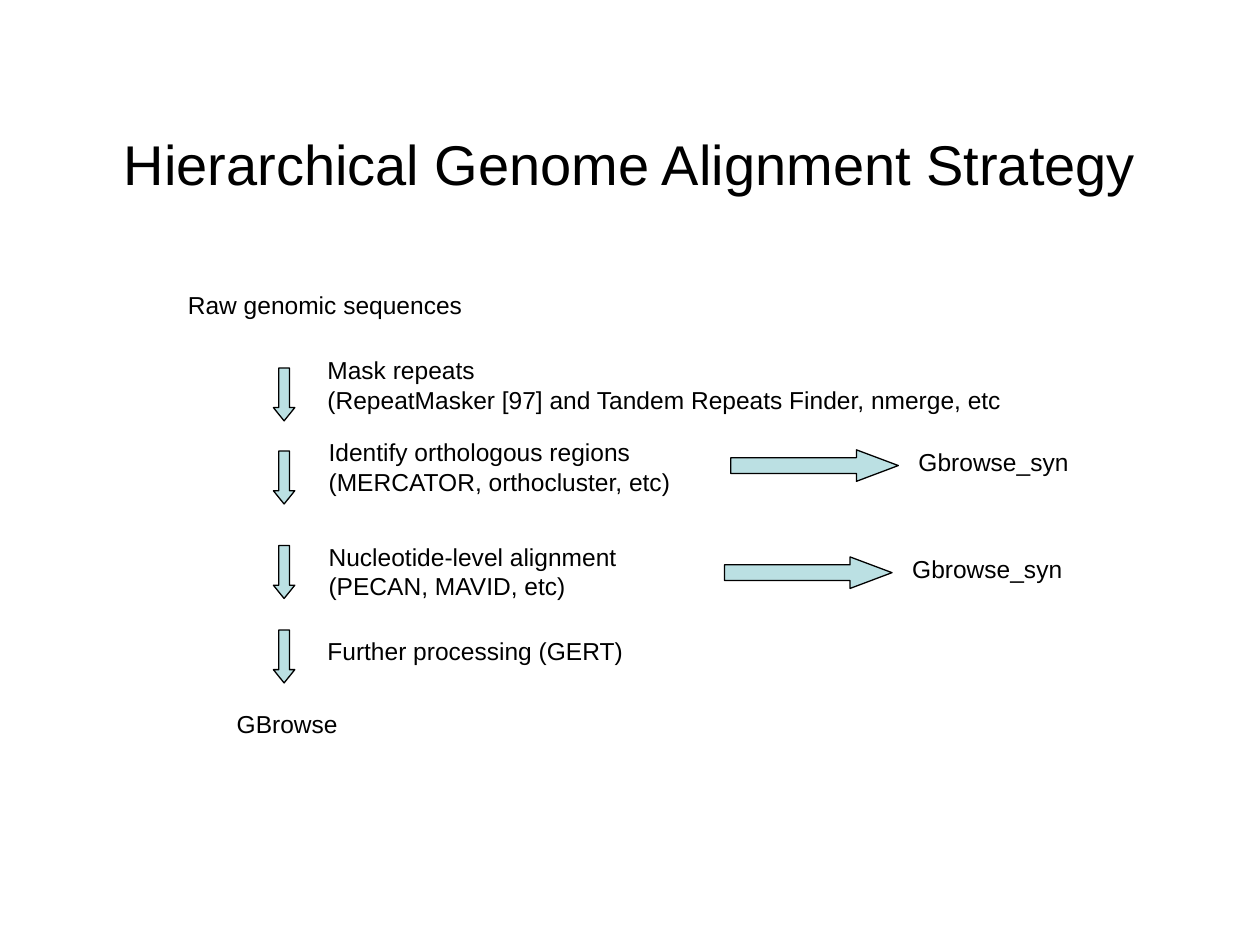
from pptx import Presentation
from pptx.dml.color import RGBColor
from pptx.enum.shapes import MSO_SHAPE
from pptx.enum.text import MSO_ANCHOR, MSO_AUTO_SIZE, PP_ALIGN
from pptx.util import Inches, Pt

DOWN, RIGHT = MSO_SHAPE.DOWN_ARROW, MSO_SHAPE.RIGHT_ARROW
LEFT_ALIGN, CENTER = PP_ALIGN.LEFT, PP_ALIGN.CENTER
MIDDLE = MSO_ANCHOR.MIDDLE
FIT_TEXT, NO_FIT = MSO_AUTO_SIZE.SHAPE_TO_FIT_TEXT, MSO_AUTO_SIZE.NONE


def color(hex_value):
    return RGBColor.from_string(hex_value)


def write(frame, text, *, size, font, ink, align=LEFT_ALIGN):
    """Fill a text frame, one paragraph per line of text."""
    frame.text = text
    for paragraph in frame.paragraphs:
        paragraph.alignment = align
        paragraph.font.size = Pt(size)
        paragraph.font.name = font
        paragraph.font.color.rgb = color(ink)


class StrategySlide:
    FONT = "Arial"
    INK = "000000"
    ARROW_FILL = "BBE0E3"
    TITLE_SIZE = 32
    LABEL_SIZE = 14

    def __init__(self, slide):
        self.slide = slide

    def title(self, text, left, top, width, height):
        heading = self.slide.shapes.title
        heading.left, heading.top = Inches(left), Inches(top)
        heading.width, heading.height = Inches(width), Inches(height)
        frame = heading.text_frame
        frame.vertical_anchor = MIDDLE
        frame.auto_size = NO_FIT
        write(frame, text, size=self.TITLE_SIZE, font=self.FONT,
              ink=self.INK, align=CENTER)

    def label(self, text, left, top, width, align=CENTER):
        height = 0.57 if "\n" in text else 0.34
        box = self.slide.shapes.add_textbox(
            Inches(left), Inches(top), Inches(width), Inches(height))
        frame = box.text_frame
        frame.word_wrap = False
        frame.auto_size = FIT_TEXT
        write(frame, text, size=self.LABEL_SIZE, font=self.FONT,
              ink=self.INK, align=align)

    def arrow(self, kind, left, top, width, height, head):
        arrow = self.slide.shapes.add_shape(
            kind, Inches(left), Inches(top), Inches(width), Inches(height))
        arrow.adjustments[0] = 0.5
        arrow.adjustments[1] = head
        arrow.shadow.inherit = False
        arrow.fill.solid()
        arrow.fill.fore_color.rgb = color(self.ARROW_FILL)
        arrow.line.color.rgb = color(self.INK)
        arrow.line.width = Pt(0.75)

    def step_arrow(self, top):
        self.arrow(DOWN, 2.17, top, 0.17, 0.42, head=0.62)

    def output(self, text, left, top):
        """A right arrow with the name of the viewer it leads to."""
        self.arrow(RIGHT, left, top, 1.33, 0.25, head=1.33)
        self.label(text, left + 1.39, top - 0.07, 1.39)


def main():
    prs = Presentation()
    prs.slide_width, prs.slide_height = Inches(10), Inches(7.5)
    title_only = prs.slide_layouts[5]
    strategy = StrategySlide(prs.slides.add_slide(title_only))

    strategy.title("Hierarchical Genome Alignment Strategy",
                   0.75, 0.67, 8.5, 1.25)

    # Start and end of the pipeline
    strategy.label("Raw genomic sequences", 1.39, 2.25, 2.38)
    strategy.label("GBrowse", 1.78, 5.58, 1)

    # Steps: arrow top, label left, top and width, text
    steps = [
        (2.92, 2.5, 2.77, 5.58, "Mask repeats\n"
         "(RepeatMasker [97] and Tandem Repeats Finder, nmerge, etc"),
        (3.58, 2.51, 3.42, 2.99, "Identify orthologous regions\n"
         "(MERCATOR, orthocluster, etc)"),
        (4.33, 2.51, 4.25, 2.54, "Nucleotide-level alignment\n"
         "(PECAN, MAVID, etc)"),
        (5, 2.5, 5, 2.55, "Further processing (GERT)"),
    ]
    for arrow_top, left, top, width, text in steps:
        strategy.step_arrow(arrow_top)
        strategy.label(text, left, top, width, align=LEFT_ALIGN)

    # Steps that can be viewed directly
    for left, top in [(5.8, 3.57), (5.75, 4.42)]:
        strategy.output("Gbrowse_syn", left, top)

    prs.save("out.pptx")


if __name__ == "__main__":
    main()
